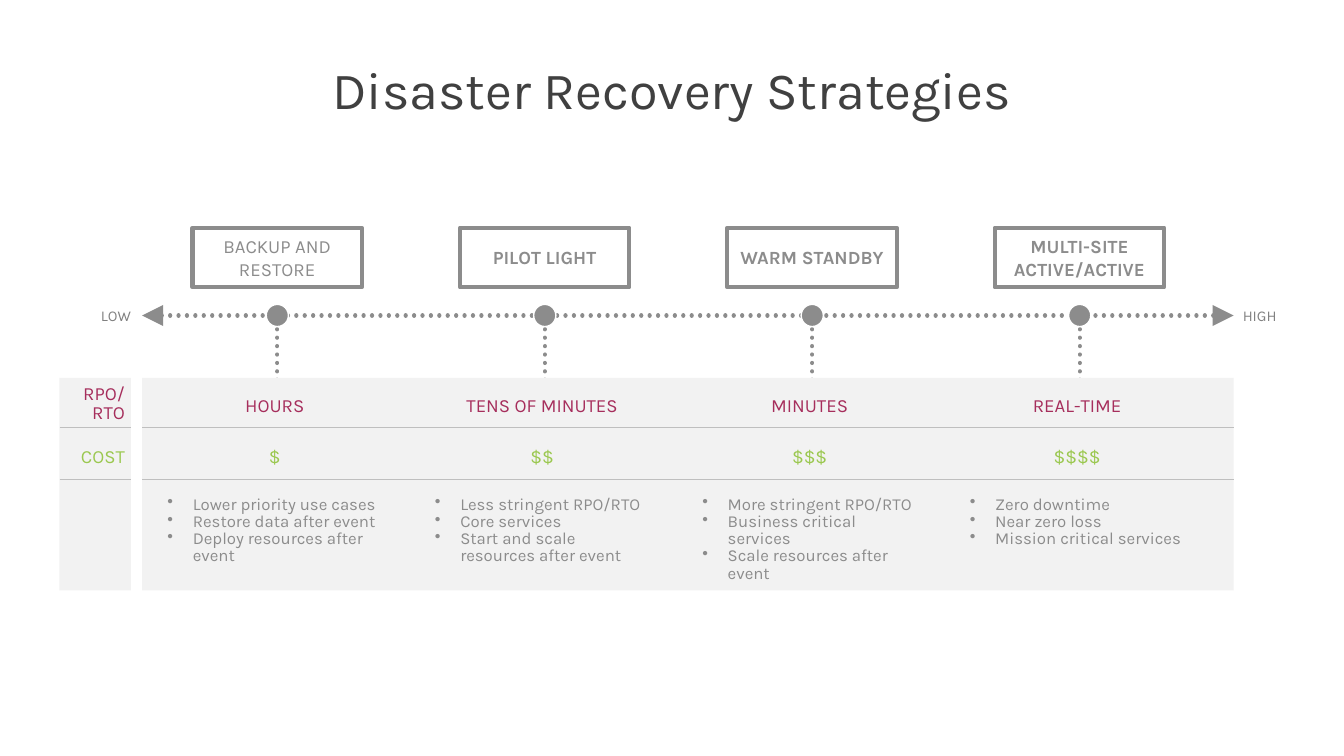
from dataclasses import dataclass

from lxml.etree import SubElement
from pptx import Presentation
from pptx.dml.color import RGBColor
from pptx.enum.dml import MSO_LINE
from pptx.enum.shapes import MSO_CONNECTOR, MSO_SHAPE
from pptx.enum.text import MSO_ANCHOR as Anchor, MSO_AUTO_SIZE, PP_ALIGN as Align
from pptx.oxml.ns import qn
from pptx.util import Cm, Pt


@dataclass(frozen=True)
class Theme:
    font: str = "Karla"
    title: RGBColor = RGBColor(0x40, 0x40, 0x40)
    gray: RGBColor = RGBColor(0x8C, 0x8C, 0x8C)
    scale: RGBColor = RGBColor(0x80, 0x80, 0x80)
    panel: RGBColor = RGBColor(0xF2, 0xF2, 0xF2)
    rule: RGBColor = RGBColor(0xBF, 0xBF, 0xBF)
    white: RGBColor = RGBColor(0xFF, 0xFF, 0xFF)
    recovery: RGBColor = RGBColor(0xA6, 0x2E, 0x5C)
    cost: RGBColor = RGBColor(0x9B, 0xC8, 0x50)
    title_size: float = 37.3
    label_size: float = 13.3
    body_size: float = 12
    scale_size: float = 10.7


theme = Theme()


def write(shape, lines, size, color, align=Align.LEFT, anchor=Anchor.MIDDLE,
          spacing=0.85, bold=False, bullets=False, tight=True):
    frame = shape.text_frame
    frame_format = {"word_wrap": True, "auto_size": MSO_AUTO_SIZE.NONE,
                    "vertical_anchor": anchor}
    if tight:
        frame_format |= {"margin_left": 0, "margin_right": Cm(0.13),
                         "margin_top": Cm(0.05), "margin_bottom": Cm(0.05)}
    for name, value in frame_format.items():
        setattr(frame, name, value)
    for index, line in enumerate(lines):
        paragraph = frame.add_paragraph() if index else frame.paragraphs[0]
        paragraph.text = line
        if bullets:
            properties = paragraph._p.get_or_add_pPr()
            properties.set("marL", str(Cm(0.64)))
            properties.set("indent", str(-Cm(0.64)))
            SubElement(properties, qn("a:buChar"), char="•")
        paragraph.alignment = align
        paragraph.line_spacing = spacing
        for run in paragraph.runs:
            run.font.color.rgb = color
            for name, value in {"name": theme.font, "size": Pt(size), "bold": bold}.items():
                setattr(run.font, name, value)


def add_line(x1, y1, x2, y2, color, width, dotted=False, arrows=False):
    connector = slide.shapes.add_connector(
        MSO_CONNECTOR.STRAIGHT, Cm(x1), Cm(y1), Cm(x2), Cm(y2))
    connector.line.color.rgb = color
    connector.line.width = Pt(width)
    properties = connector.element.spPr
    outline = properties.find(qn("a:ln"))
    if dotted:
        connector.line.dash_style = MSO_LINE.ROUND_DOT
        outline.set("cap", "rnd")
    if arrows:
        for end in ("a:headEnd", "a:tailEnd"):
            SubElement(outline, qn(end), type="triangle", w="lg", len="lg")
    SubElement(properties, qn("a:effectLst"))


presentation = Presentation()
presentation.slide_width = Cm(33.87)
presentation.slide_height = Cm(19.05)
slide = presentation.slides.add_slide(presentation.slide_layouts[5])

# Title
title = slide.shapes.title
for name, value in {"left": 2.33, "top": 1.58, "width": 29.21, "height": 1.5}.items():
    setattr(title, name, Cm(value))
write(title, ["Disaster Recovery Strategies"], theme.title_size, theme.title,
      Align.CENTER, spacing=0.9, tight=False)

# Strategies: name, recovery time, cost, label width, use cases
strategies = [
    ("BACKUP AND RESTORE", "HOURS", "$", 2.29,
     ["Lower priority use cases", "Restore data after event", "Deploy resources after event"]),
    ("PILOT LIGHT", "TENS OF MINUTES", "$$", 5.49,
     ["Less stringent RPO/RTO", "Core services", "Start and scale resources after event"]),
    ("WARM STANDBY", "MINUTES", "$$$", 2.77,
     ["More stringent RPO/RTO", "Business critical services", "Scale resources after event"]),
    ("MULTI-SITE ACTIVE/ACTIVE", "REAL-TIME", "$$$$", 3.96,
     ["Zero downtime", "Near zero loss", "Mission critical services"]),
]
centers = [6.99 + 6.74 * column for column in range(len(strategies))]
axis_y = 7.95
recovery_top, cost_top, label_height = 9.73, 11.02, 1.04
panels = [(1.5, 1.8), (3.58, 27.51)]  # left, width

# Dotted drops from the axis to the panel
for center in centers:
    add_line(center, 9.57, center, 7.89, theme.gray, 3, dotted=True)

# Gray panels with row rules
for left, width in panels:
    panel = slide.shapes.add_shape(
        MSO_SHAPE.RECTANGLE, Cm(left), Cm(9.52), Cm(width), Cm(5.36))
    panel.shadow.inherit = False
    panel.fill.solid()
    panel.fill.fore_color.rgb = theme.panel
    panel.line.fill.background()
    for rule_y in (10.77, 12.07):
        add_line(left, rule_y, left + width, rule_y, theme.rule, 0.5)

# Axis with its end labels
add_line(3.58, axis_y, 31.09, axis_y, theme.gray, 3, dotted=True, arrows=True)
for text, left, align in (("LOW", 1.37, Align.RIGHT), ("HIGH", 31.32, Align.LEFT)):
    label = slide.shapes.add_textbox(Cm(left), Cm(7.72), Cm(2.06), Cm(0.51))
    write(label, [text], theme.scale_size, theme.scale, align, Anchor.BOTTOM)

# Row headings
for text, top, color in (("RPO/\vRTO", 9.68, theme.recovery), ("COST", cost_top, theme.cost)):
    heading = slide.shapes.add_textbox(Cm(0.99), Cm(top), Cm(2.29), Cm(label_height))
    write(heading, [text], theme.label_size, color, Align.RIGHT)

# Strategy columns
for center, (name, recovery, cost, label_width, use_cases) in zip(centers, strategies):
    dot = slide.shapes.add_shape(
        MSO_SHAPE.OVAL, Cm(center - 0.28), Cm(axis_y - 0.28), Cm(0.56), Cm(0.56))
    dot.shadow.inherit = False
    dot.fill.solid()
    dot.fill.fore_color.rgb = theme.gray
    dot.line.color.rgb = theme.white
    dot.line.width = Pt(1)

    box = slide.shapes.add_shape(
        MSO_SHAPE.RECTANGLE, Cm(center - 2.14), Cm(5.74), Cm(4.27), Cm(1.5))
    box.shadow.inherit = False
    box.fill.background()
    box.line.color.rgb = theme.gray
    box.line.width = Pt(3)
    write(box, [name], theme.label_size, theme.gray, Align.CENTER, spacing=1.0,
          bold=center != centers[0], tight=False)

    for text, top, color in ((recovery, recovery_top, theme.recovery),
                             (cost, cost_top, theme.cost)):
        label = slide.shapes.add_textbox(
            Cm(center - label_width / 2), Cm(top), Cm(label_width), Cm(label_height))
        write(label, [text], theme.label_size, color, Align.CENTER)

    notes = slide.shapes.add_textbox(Cm(center - 2.77), Cm(12.47), Cm(5.56), Cm(1.78))
    write(notes, use_cases, theme.body_size, theme.gray, anchor=Anchor.TOP, bullets=True)

presentation.save("out.pptx")
